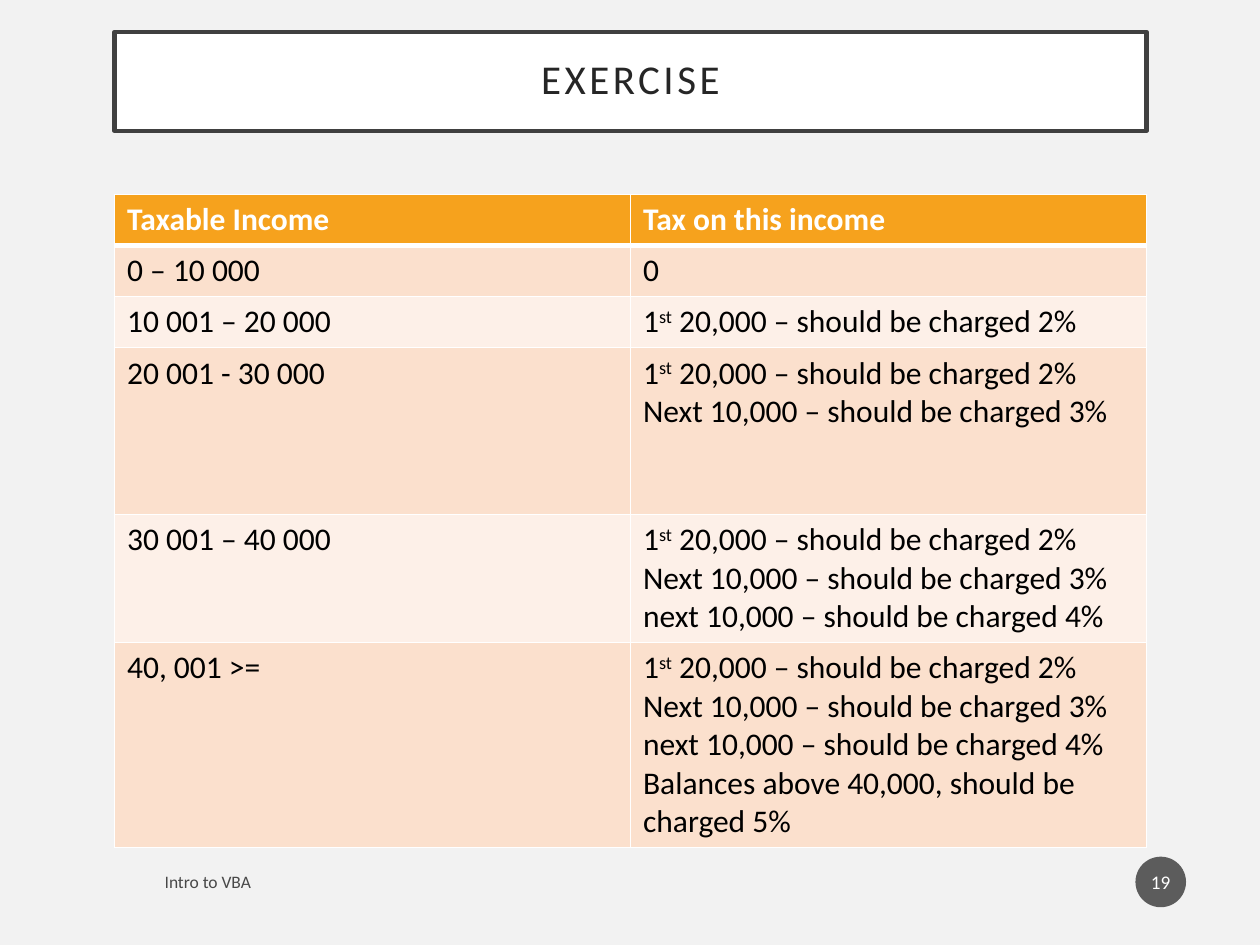
from pptx import Presentation
from pptx.dml.color import RGBColor
from pptx.enum.shapes import MSO_SHAPE as Shape
from pptx.enum.text import MSO_ANCHOR as Anchor, MSO_AUTO_SIZE as AutoSize, PP_ALIGN as Align
from pptx.oxml.ns import qn
from pptx.util import Cm, Pt
from lxml.etree import SubElement

BACKGROUND = RGBColor(0xF2, 0xF2, 0xF2)
WHITE = RGBColor(0xFF, 0xFF, 0xFF)
BLACK = RGBColor(0x00, 0x00, 0x00)
TITLE_TEXT = RGBColor(0x26, 0x26, 0x26)
TITLE_LINE = RGBColor(0x40, 0x40, 0x40)
BADGE = RGBColor(0x1D, 0x1D, 0x1D)
HEADER = RGBColor(0xF6, 0xA2, 0x1D)
BANDS = [RGBColor(0xFD, 0xF0, 0xE8), RGBColor(0xFB, 0xE0, 0xCD)]

FIRST = "1^st^ 20,000 – should be charged 2%"
NEXT = "Next 10,000 – should be charged 3%"
THEN = "next 10,000 – should be charged 4%"
BALANCE = "Balances above 40,000, should be charged 5%"

# Each row: height in cm, income, lines of tax rules (^ marks superscript, \v a line break)
ROWS = [
    (1.03, "Taxable Income", ["Tax on this income"]),
    (1.03, "0 – 10 000", ["0"]),
    (1.03, "10 001 – 20 000", [FIRST]),
    (3.36, "20 001 - 30 000", [FIRST, NEXT]),
    (2.58, "30 001 – 40 000", [FIRST, f"{NEXT}\v{THEN}"]),
    (4.13, "40, 001 >=", [FIRST, f"{NEXT}\v{THEN}", BALANCE]),
]


def format_font(font, size, color, bold=False):
    for name, value in {"name": "Calibri", "size": Pt(size), "bold": bold}.items():
        setattr(font, name, value)
    font.color.rgb = color


def set_alpha(parent, percent):
    color = parent.find(qn("a:solidFill")).find(qn("a:srgbClr"))
    SubElement(color, qn("a:alpha"), val=str(percent * 1000))


presentation = Presentation()
presentation.slide_width, presentation.slide_height = Cm(25.4), Cm(19.05)
slide = presentation.slides.add_slide(presentation.slide_layouts[5])
slide.background.fill.solid()
slide.background.fill.fore_color.rgb = BACKGROUND

# Title
title = slide.shapes.title
title.left, title.top, title.width, title.height = Cm(2.31), Cm(0.64), Cm(20.8), Cm(2)
title.fill.solid()
title.fill.fore_color.rgb = WHITE
title.line.color.rgb = TITLE_LINE
title.line.width = Pt(2.5)
title.text_frame.text = "EXERCISE"
frame_format = {"vertical_anchor": Anchor.MIDDLE, "auto_size": AutoSize.NONE, "word_wrap": True}
for side in ("left", "top", "right", "bottom"):
    frame_format[f"margin_{side}"] = Cm(0.5)
for name, value in frame_format.items():
    setattr(title.text_frame, name, value)
paragraph = title.text_frame.paragraphs[0]
paragraph.alignment = Align.CENTER
paragraph.line_spacing = 0.9
format_font(paragraph.runs[0].font, 23.4, TITLE_TEXT)
paragraph.runs[0].font._element.set("spc", "200")

# Tax table
table_shape = slide.shapes.add_table(len(ROWS), 2, Cm(2.31), Cm(3.92), Cm(20.8),
                                     Cm(sum(row[0] for row in ROWS)))
table = table_shape.table
for row_index, (height, income, rules) in enumerate(ROWS):
    table.rows[row_index].height = Cm(height)
    is_header = row_index == 0
    for cell, lines in zip(table.rows[row_index].cells, ([income], rules)):
        # Borders, with a heavy rule under the header
        widths = {"L": 1, "R": 1, "T": 3 if row_index == 1 else 1, "B": 3 if is_header else 1}
        properties = cell._tc.get_or_add_tcPr()
        for side, width in widths.items():
            border = SubElement(properties, qn(f"a:ln{side}"), w=str(Pt(width)))
            fill = SubElement(border, qn("a:solidFill"))
            SubElement(fill, qn("a:srgbClr"), val=str(WHITE))
        cell.fill.solid()
        cell.fill.fore_color.rgb = HEADER if is_header else BANDS[row_index % 2]

        # Cell text
        for line_index, line in enumerate(lines):
            frame = cell.text_frame
            paragraph = frame.add_paragraph() if line_index else frame.paragraphs[0]
            for part_index, part in enumerate(line.split("^")):
                for break_index, text in enumerate(part.split("\v")):
                    if break_index:
                        paragraph.add_line_break()
                    run = paragraph.add_run()
                    run.text = text
                    format_font(run.font, 18, WHITE if is_header else BLACK, is_header)
                    if part_index % 2:
                        run.font._element.set("baseline", "30000")

# Footer
footer = slide.shapes.add_textbox(Cm(3.07), Cm(17.32), Cm(12.65), Cm(0.89))
footer.text_frame.word_wrap = True
footer.text_frame.vertical_anchor = Anchor.MIDDLE
footer.text_frame.text = "Intro to VBA"
font = footer.text_frame.paragraphs[0].runs[0].font
format_font(font, 10, BLACK)
set_alpha(font._element, 70)

# Slide number badge
badge = slide.shapes.add_shape(Shape.OVAL, Cm(22.89), Cm(17.27), Cm(1.02), Cm(1.02))
badge.shadow.inherit = False
badge.fill.solid()
badge.fill.fore_color.rgb = BADGE
set_alpha(badge._element.spPr, 70)
badge.line.fill.background()
frame = badge.text_frame
frame.margin_left = frame.margin_right = Cm(0.05)
frame.vertical_anchor = Anchor.MIDDLE
frame.text = "19"
frame.paragraphs[0].alignment = Align.CENTER
format_font(frame.paragraphs[0].runs[0].font, 11, WHITE)

presentation.save("out.pptx")
